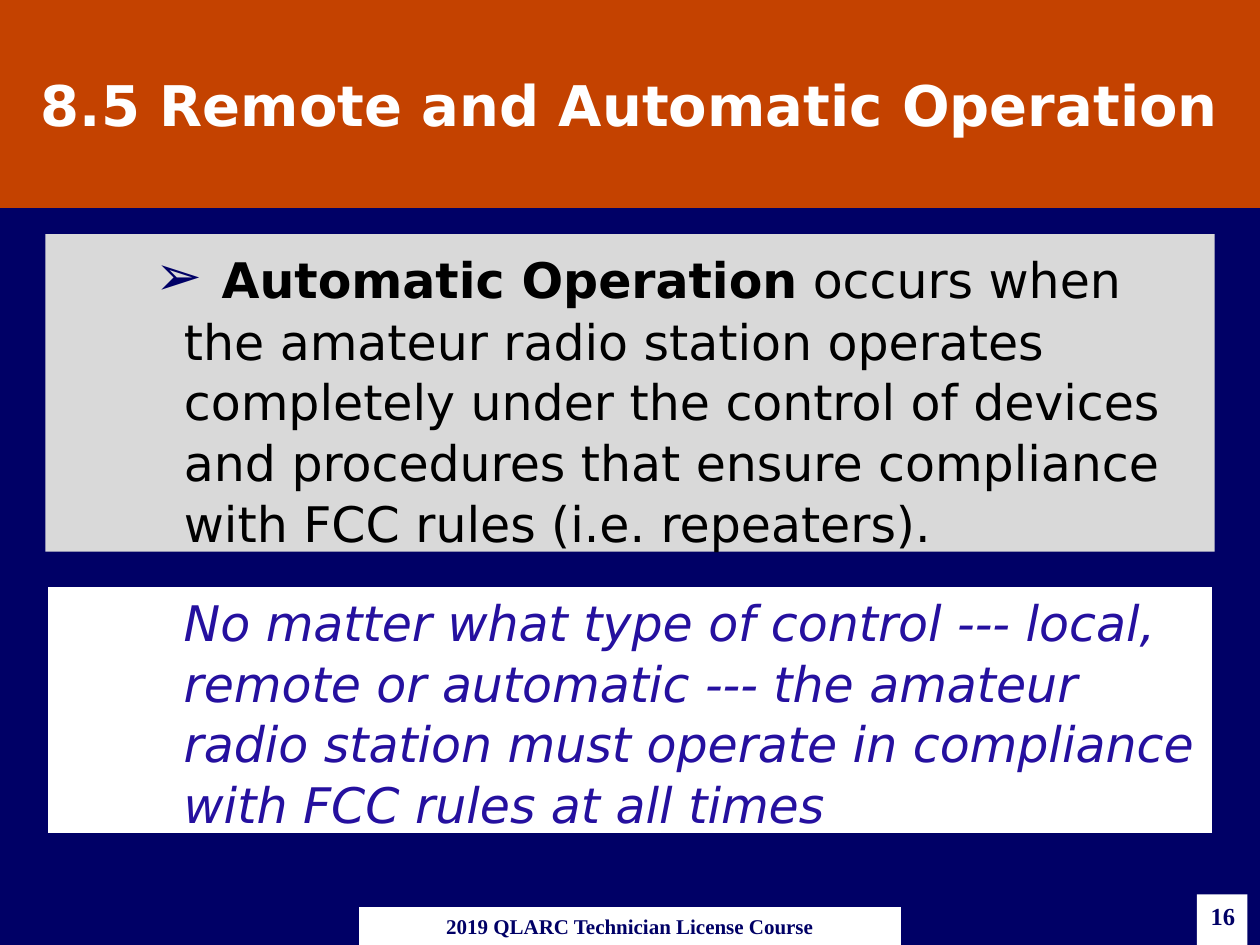
from lxml.etree import SubElement
from pptx import Presentation
from pptx.dml.color import RGBColor
from pptx.enum.shapes import MSO_SHAPE
from pptx.enum.text import MSO_ANCHOR, MSO_AUTO_SIZE, PP_ALIGN
from pptx.oxml.ns import qn
from pptx.util import Cm, Pt

# Content
TITLE = "8.5 Remote and Automatic Operation"
DEFINITION = [
    (" ", dict(size=32, bold=True, color="000066")),
    ("Automatic Operation", dict(bold=True)),
    (" occurs when the amateur radio station operates completely under the "
     "control of devices and procedures that ensure compliance with FCC rules "
     "(i.e. repeaters).", {}),
]
REMINDER = ("No matter what type of control --- local, remote or automatic --- "
            "the amateur radio station must operate in compliance with FCC rules "
            "at all times")
COURSE = "2019 QLARC Technician License Course"
NUMBER = "16"

SANS, SERIF = "DejaVu Sans", "Times New Roman"
NAVY, WHITE = "000066", "FFFFFF"
WIDTH, HEIGHT = 25.4, 19.05
PANEL_W = 23.57
PANEL_X = (WIDTH - PANEL_W) / 2
COURSE_W, COURSE_H = 10.92, 0.76


def rgb(color):
    return RGBColor.from_string(color)


def place(sp, x, y, w, h, fill, anchor=MSO_ANCHOR.TOP):
    sp.left, sp.top, sp.width, sp.height = Cm(x), Cm(y), Cm(w), Cm(h)
    sp.fill.solid()
    sp.fill.fore_color.rgb = rgb(fill)
    sp.line.fill.background()
    tf = sp.text_frame
    tf.word_wrap = True
    tf.auto_size = MSO_AUTO_SIZE.NONE
    tf.vertical_anchor = anchor
    return tf.paragraphs[0]


def box(s, *frame):
    sp = s.shapes.add_shape(MSO_SHAPE.RECTANGLE, 0, 0, 0, 0)
    sp.shadow.inherit = False
    return sp, place(sp, *frame)


def write(p, text, size=28, color="000000", font=SANS, bold=False,
          italic=False, align=PP_ALIGN.LEFT):
    p.alignment = align
    r = p.add_run()
    r.text = text
    f = r.font
    f.size, f.name, f.bold, f.italic = Pt(size), font, bold, italic
    f.color.rgb = rgb(color)


def indent(p, first=0, bullet=None):
    p.level = 1
    p.line_spacing = 1.03
    p.space_before = p.space_after = Pt(0)
    pPr = p._p.get_or_add_pPr()
    pPr.set("marL", str(Cm(2.54)))
    pPr.set("indent", str(Cm(first)))
    if bullet:
        SubElement(pPr, qn("a:buChar"), char=bullet)
    else:
        SubElement(pPr, qn("a:buNone"))


prs = Presentation()
prs.slide_width, prs.slide_height = Cm(WIDTH), Cm(HEIGHT)
s = prs.slides.add_slide(prs.slide_layouts[1])
s.background.fill.solid()
s.background.fill.fore_color.rgb = rgb(NAVY)

# Title band
p = place(s.shapes.title, 0, 0, WIDTH, 4.19, "C44200", MSO_ANCHOR.MIDDLE)
write(p, TITLE, size=32, color=WHITE, bold=True, align=PP_ALIGN.CENTER)

# Definition panel
p = place(s.placeholders[1], PANEL_X, 4.72, PANEL_W, 6.4, "D9D9D9")
indent(p, first=-0.58, bullet="➢")
for text, style in DEFINITION:
    write(p, text, **style)

# Reminder panel
sp, p = box(s, PANEL_X, 11.79, PANEL_W, 5.05, WHITE)
sp.line.color.rgb = rgb(NAVY)
sp.line.width = Pt(3)
indent(p)
write(p, REMINDER, color="25109F", italic=True)

# Footer: course name and slide number
sp, p = box(s, (WIDTH - COURSE_W) / 2, HEIGHT - COURSE_H, COURSE_W, COURSE_H, WHITE)
write(p, COURSE, size=12, color=NAVY, font=SERIF, bold=True, align=PP_ALIGN.CENTER)
sp, p = box(s, 24.13, 18.03, 1.02, 1.02, WHITE)
write(p, NUMBER, size=14, color=NAVY, font=SERIF, bold=True, align=PP_ALIGN.RIGHT)

prs.save("out.pptx")
